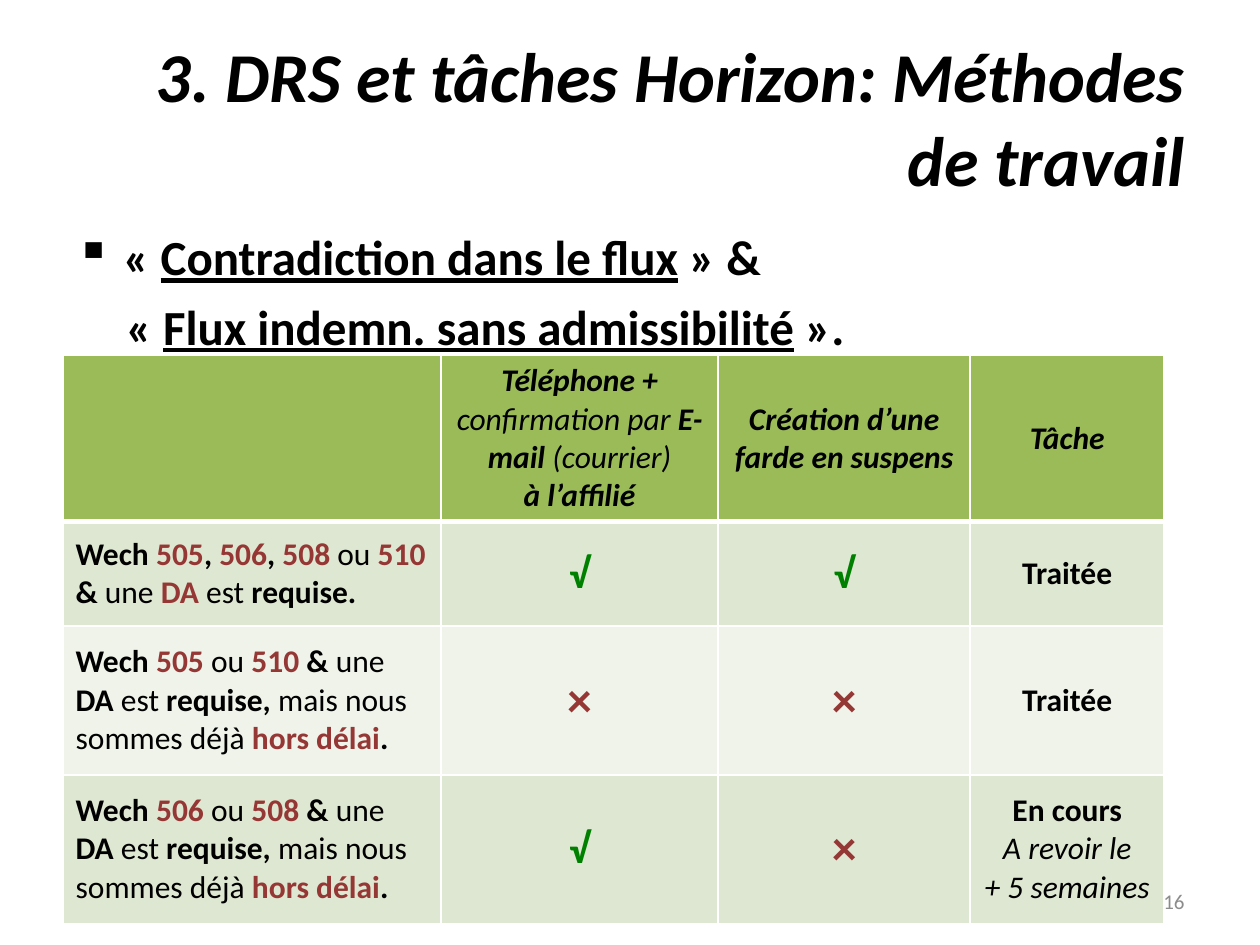
from pptx import Presentation
from pptx.dml.color import RGBColor as RGB
from pptx.enum.text import MSO_ANCHOR as Anchor, PP_ALIGN as Align
from pptx.oxml.ns import qn
from pptx.util import Inches, Pt
from lxml.etree import SubElement as Sub


class Theme:
    font = "Calibri"
    black, red, green, grey = "000000", "953735", "008000", "8C8C8C"
    head, bands, edge = "9BBB59", ("DEE7D1", "EFF3EA"), "FFFFFF"
    title, body, cell, tick, cross, page = 40, 28, 18, 24, 28, 12


# A paragraph is a list of (text, style) runs.
# Style letters: b bold, i italic, u underline, r red, g green.
TITLE = [[("3. DRS et tâches Horizon: Méthodes de travail", "bi")]]
BODY = [
    [("«\u00a0", "b"), ("Contradiction dans le flux", "bu"), ("\u00a0» &", "b")],
    [("«\u00a0", "b"), ("Flux indemn. sans admissibilité", "bu"), ("\u00a0».", "b")],
]
PAGE = [[("16", "")]]

YES, NO = [[("√", "bg")]], [[("×", "br")]]
DONE = [[("Traitée", "b")]]
LATER = [[("En cours", "b")], [("A revoir le", "i")], [("+ 5 semaines", "i")]]


def late(first, second):
    """Case text for two codes whose deadline has passed."""
    return [[("Wech ", "b"), (first + " ", "br"), ("ou ", ""), (second, "br"),
             (" & ", "b"), ("une ", ""), ("DA", "b"), (" est ", ""),
             ("requise, ", "b"), ("mais nous sommes déjà ", ""),
             ("hors délai", "br"), (".", "b")]]


CODES = [
    [("Wech ", "b"), ("505", "br"), (", ", "b"), ("506", "br"), (", ", "b"),
     ("508 ", "br"), ("ou ", ""), ("510", "br")],
    [("& ", "b"), ("une ", ""), ("DA", "br"), (" est ", ""), ("requise.", "b")],
]
HEAD = [
    [],
    [[("Téléphone + ", "bi"), ("confirmation par", "i"), (" E-mail ", "bi"),
      ("(courrier)", "i")], [("à l’affilié", "bi")]],
    [[("Création d’une farde en suspens", "bi")]],
    [[("Tâche", "bi")]],
]
ROWS = [
    HEAD,
    [CODES, YES, YES, DONE],
    [late("505", "510"), NO, NO, DONE],
    [late("506", "508"), YES, NO, LATER],
]
WIDTHS = [3, 2.2, 2, 1.54]
HEIGHTS = [1.32, 0.83, 1.18, 1.18]


def style(font, marks, color):
    font.bold, font.italic = "b" in marks, "i" in marks
    font.underline = "u" in marks
    shade = {"r": Theme.red, "g": Theme.green}
    font.color.rgb = RGB.from_string(
        next((shade[m] for m in marks if m in shade), color))


def write(frame, paras, size, align, color=Theme.black, gap=0):
    for i, runs in enumerate(paras):
        para = frame.paragraphs[0] if i == 0 else frame.add_paragraph()
        para.alignment = align
        para.space_before = Pt(gap if i else 0)
        para.font.name, para.font.size = Theme.font, Pt(size)
        same = len({marks for _, marks in runs}) == 1
        if same:
            style(para.font, runs[0][1], color)
        for text, marks in runs:
            run = para.add_run()
            run.text = text
            if not same:
                style(run.font, marks, color)


def add_box(slide, spot, anchor):
    frame = slide.shapes.add_textbox(*map(Inches, spot)).text_frame
    frame.word_wrap, frame.vertical_anchor = True, anchor
    return frame


def indent(para, left, hang=0, mark=None):
    props = para._p.get_or_add_pPr()
    props.set("marL", str(Inches(left)))
    props.set("indent", str(Inches(hang)))
    if mark:
        props.insert_element_before(
            props.makeelement(qn("a:buChar"), {"char": mark}), "a:defRPr")


def edge(cell, low):
    """Draw the cell's white borders; low is the bottom width in points."""
    props = cell._tc.get_or_add_tcPr()
    for i, (side, wide) in enumerate(zip("LRTB", (1, 1, 1, low))):
        line = Sub(props, qn("a:ln" + side), w=str(Pt(wide)))
        Sub(Sub(line, qn("a:solidFill")), qn("a:srgbClr"), val=Theme.edge)
        props.insert(i, line)


def add_grid(slide):
    grid = slide.shapes.add_table(
        len(ROWS), len(WIDTHS), Inches(0.5), Inches(2.82),
        Inches(sum(WIDTHS)), Inches(sum(HEIGHTS))).table
    grid.first_row = grid.horz_banding = False
    for col, wide in zip(grid.columns, WIDTHS):
        col.width = Inches(wide)
    for r, (row, high) in enumerate(zip(ROWS, HEIGHTS)):
        grid.rows[r].height = Inches(high)
        for c, paras in enumerate(row):
            cell = grid.cell(r, c)
            cell.vertical_anchor = Anchor.MIDDLE
            cell.fill.solid()
            cell.fill.fore_color.rgb = RGB.from_string(
                Theme.bands[(r - 1) % 2] if r else Theme.head)
            edge(cell, 1 if r else 3)
            size = (Theme.tick if paras is YES else
                    Theme.cross if paras is NO else Theme.cell)
            write(cell.text_frame, paras, size,
                  Align.CENTER if c else Align.LEFT)


def main():
    deck = Presentation()
    deck.slide_width, deck.slide_height = Inches(10), Inches(7.5)
    slide = deck.slides.add_slide(deck.slide_layouts[6])

    write(add_box(slide, (0.5, 0.3, 9, 1.25), Anchor.MIDDLE),
          TITLE, Theme.title, Align.RIGHT)
    body = add_box(slide, (0.5, 1.75, 9, 4.95), Anchor.TOP)
    write(body, BODY, Theme.body, Align.LEFT, gap=6)
    indent(body.paragraphs[0], 0.38, -0.38, "▪")
    indent(body.paragraphs[1], 0.4)
    write(add_box(slide, (7.17, 6.95, 2.33, 0.4), Anchor.MIDDLE),
          PAGE, Theme.page, Align.RIGHT, Theme.grey)
    add_grid(slide)
    deck.save("out.pptx")


if __name__ == "__main__":
    main()
